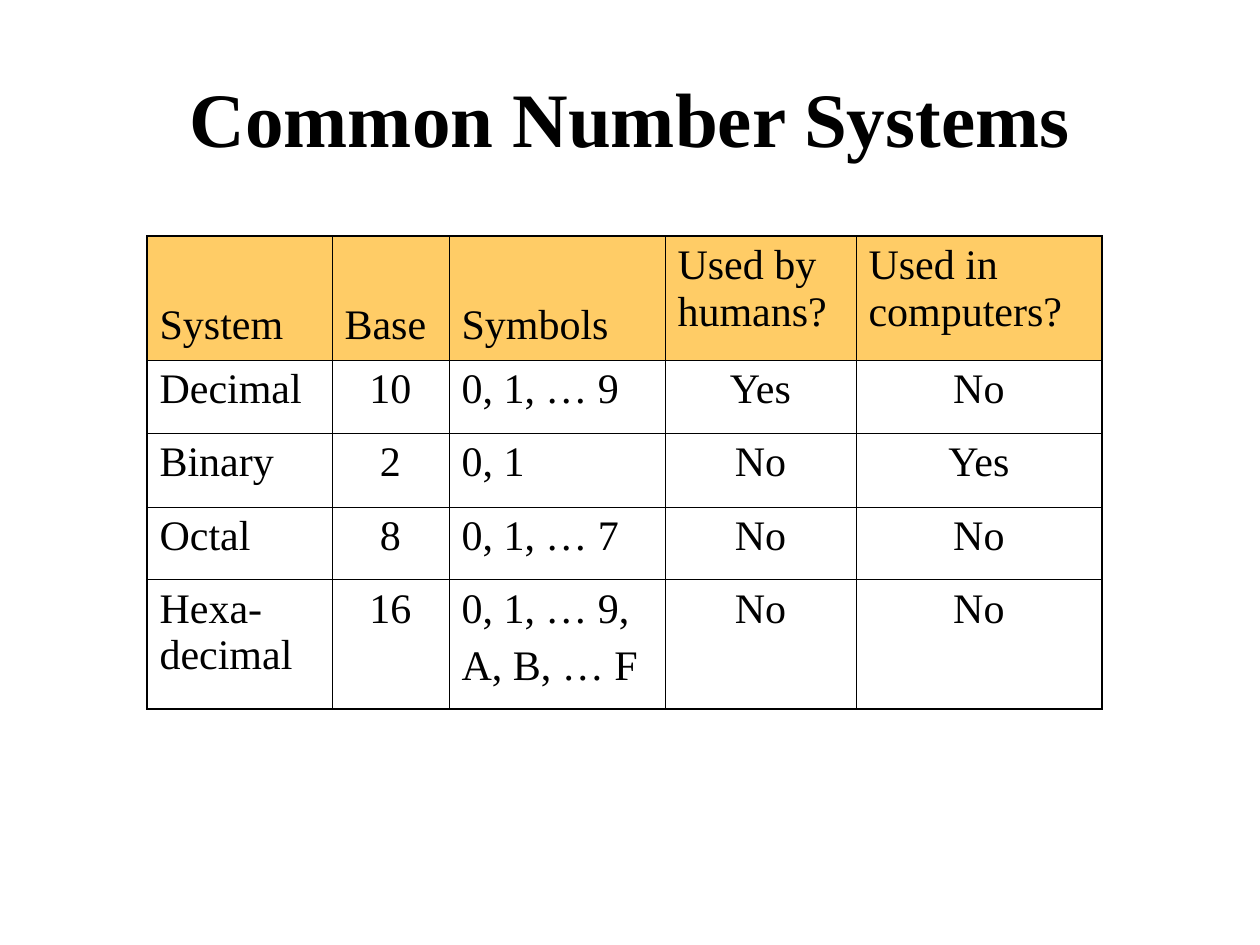
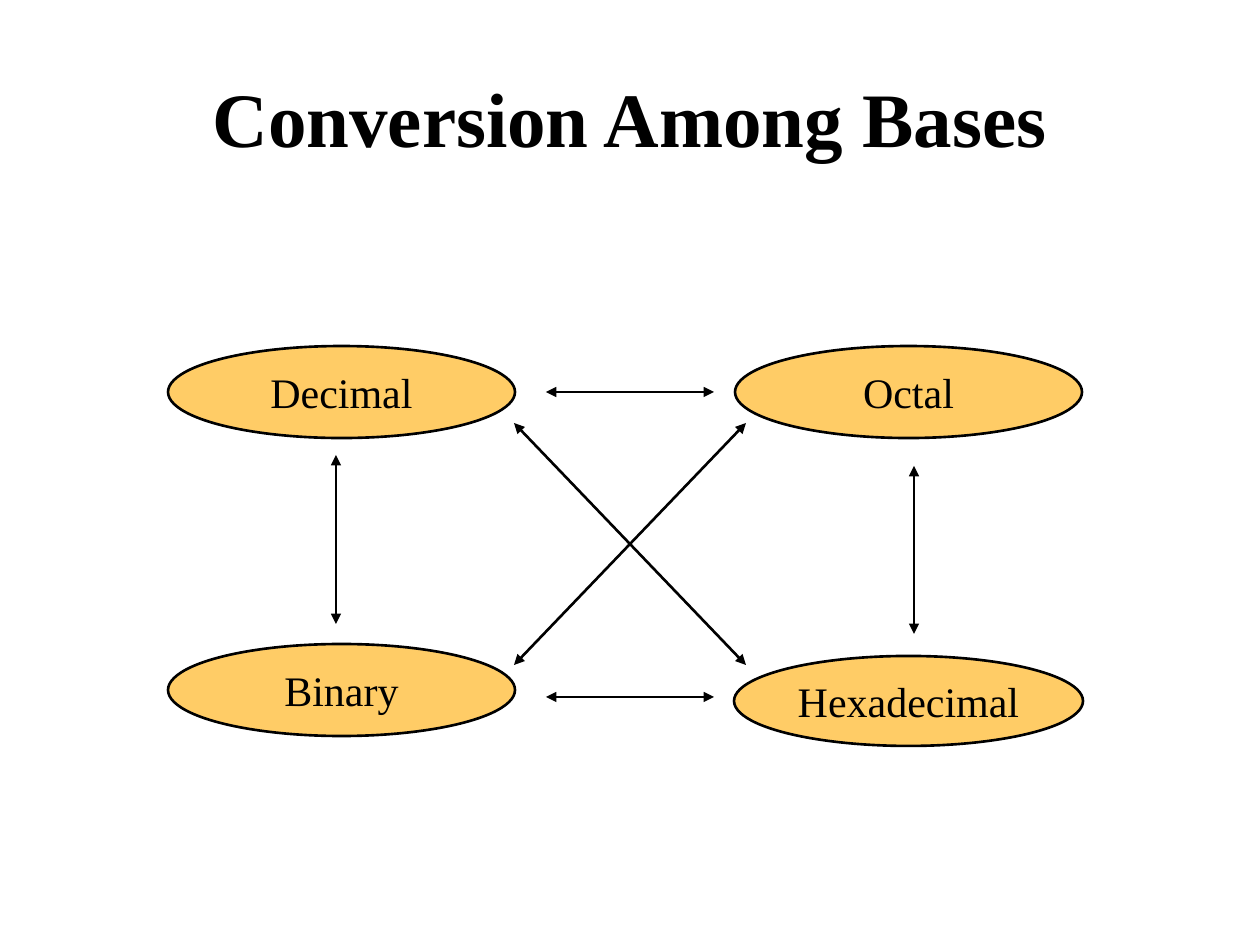
"""Build two slides on number systems and the conversions among them."""
from dataclasses import dataclass

from lxml.etree import SubElement
from pptx import Presentation
from pptx.dml.color import RGBColor
from pptx.enum.shapes import MSO_CONNECTOR as Connector, MSO_SHAPE as Preset
from pptx.enum.text import MSO_ANCHOR as Anchor, PP_ALIGN as Align
from pptx.oxml.ns import qn
from pptx.util import Emu, Pt


@dataclass(frozen=True)
class Theme:
    """Colours, type and line sizes of the deck."""
    ink: RGBColor = RGBColor(0x00, 0x00, 0x00)
    accent: RGBColor = RGBColor(0xFF, 0xCC, 0x66)
    font: str = "Times New Roman"
    title_size: int = 44
    body_size: int = 24
    gap: int = 6
    line: float = 1.5
    outer_border: float = 1.08
    inner_border: float = 0.45


THEME = Theme()
PX_PER_INCH = 126
SLIDE_SIZE = (1260, 945)
TITLE_AREA = (63, 38, 1134, 158)

TABLE_CORNER = (147, 236)
COLUMN_WIDTHS = (185, 117, 216, 191, 246)
ROW_HEIGHTS = (124, 73, 74, 73, 129)
CENTRED_COLUMNS = (1, 3, 4)
LOW_HEADERS = 3
LOW_HEADER_MARGIN = 11
SYSTEMS = (
    ("System", "Base", "Symbols", "Used by humans?", "Used in computers?"),
    ("Decimal", "10", "0, 1, … 9", "Yes", "No"),
    ("Binary", "2", "0, 1", "No", "Yes"),
    ("Octal", "8", "0, 1, … 7", "No", "No"),
    ("Hexa-\vdecimal", "16", "0, 1, … 9,\nA, B, … F", "No", "No"),
)

BASES = {
    "Hexadecimal": (734, 656, 349, 90),
    "Decimal": (168, 346, 347, 92),
    "Octal": (735, 346, 347, 92),
    "Binary": (168, 644, 347, 92),
}
CONVERSIONS = (
    (514, 665, 746, 423),
    (746, 665, 514, 423),
    (914, 634, 914, 466),
    (336, 624, 336, 455),
    (546, 392, 714, 392),
    (546, 697, 714, 697),
)


def px(length):
    """Turn px into EMU."""
    return Emu(round(length * 914400 / PX_PER_INCH))


def write(frame, text, size=THEME.body_size, bold=False, align=Align.LEFT):
    """Fill a text frame, one paragraph per line of text."""
    for index, line in enumerate(text.split("\n")):
        para = frame.add_paragraph() if index else frame.paragraphs[0]
        para.text = line
        para.alignment = align
        if index:
            para.space_before = Pt(THEME.gap)
        for span in para.runs:
            span.font.name = THEME.font
            span.font.size = Pt(size)
            span.font.bold = bold
            span.font.color.rgb = THEME.ink


def add_titled_page(deck, title):
    """Add a blank page with the shared title style."""
    page = deck.slides.add_slide(deck.slide_layouts[6])
    frame = page.shapes.add_textbox(*map(px, TITLE_AREA)).text_frame
    frame.word_wrap = True
    frame.vertical_anchor = Anchor.MIDDLE
    write(frame, title, size=THEME.title_size, bold=True, align=Align.CENTER)
    return page


def set_borders(cell, outer_sides):
    """Draw the four cell borders, heavier on the outer sides."""
    properties = cell._tc.get_or_add_tcPr()
    for side in "LRTB":
        width = THEME.outer_border if side in outer_sides else THEME.inner_border
        border = SubElement(properties, qn(f"a:ln{side}"), w=str(Pt(width)))
        fill = SubElement(border, qn("a:solidFill"))
        SubElement(fill, qn("a:srgbClr"), val=str(THEME.ink))


def fill_cell(cell, text, row, column):
    """Style and write one cell according to its place in the grid."""
    edges = {"L": column == 0, "R": column == len(COLUMN_WIDTHS) - 1,
             "T": row == 0, "B": row == len(ROW_HEIGHTS) - 1}
    set_borders(cell, [side for side, outer in edges.items() if outer])
    if row == 0:
        cell.fill.solid()
        cell.fill.fore_color.rgb = THEME.accent
    else:
        cell.fill.background()
    if row == 0 and column < LOW_HEADERS:
        cell.vertical_anchor = Anchor.BOTTOM
        cell.margin_bottom = px(LOW_HEADER_MARGIN)
    centred = row > 0 and column in CENTRED_COLUMNS
    write(cell.text_frame, text, align=Align.CENTER if centred else Align.LEFT)


def add_systems_table(page):
    """Add the table of number systems."""
    area = (*TABLE_CORNER, sum(COLUMN_WIDTHS), sum(ROW_HEIGHTS))
    table = page.shapes.add_table(
        len(ROW_HEIGHTS), len(COLUMN_WIDTHS), *map(px, area)).table
    table.first_row = table.horz_banding = False
    for column, width in zip(table.columns, COLUMN_WIDTHS):
        column.width = px(width)
    for row, height in zip(table.rows, ROW_HEIGHTS):
        row.height = px(height)
    for row, texts in enumerate(SYSTEMS):
        for column, text in enumerate(texts):
            fill_cell(table.cell(row, column), text, row, column)


def set_line(shape):
    """Apply the shared line style."""
    shape.line.color.rgb = THEME.ink
    shape.line.width = Pt(THEME.line)


def add_base(page, name, area):
    """Add a labelled ellipse for one base."""
    box = page.shapes.add_shape(Preset.OVAL, *map(px, area))
    box.shadow.inherit = False
    box.fill.solid()
    box.fill.fore_color.rgb = THEME.accent
    set_line(box)
    box.text_frame.word_wrap = False
    box.text_frame.vertical_anchor = Anchor.MIDDLE
    write(box.text_frame, name, align=Align.CENTER)


def add_conversion(page, ends):
    """Add a line with an arrowhead at both ends."""
    arrow = page.shapes.add_connector(Connector.STRAIGHT, *map(px, ends))
    set_line(arrow)
    for end in ("a:headEnd", "a:tailEnd"):
        SubElement(arrow.line._get_or_add_ln(), qn(end), type="triangle")
    SubElement(arrow._element.spPr, qn("a:effectLst"))


def main():
    """Build and save the deck."""
    deck = Presentation()
    deck.slide_width, deck.slide_height = map(px, SLIDE_SIZE)

    add_systems_table(add_titled_page(deck, "Common Number Systems"))

    page = add_titled_page(deck, "Conversion Among Bases")
    for name, area in BASES.items():
        add_base(page, name, area)
    for ends in CONVERSIONS:
        add_conversion(page, ends)

    deck.save("out.pptx")


if __name__ == "__main__":
    main()
